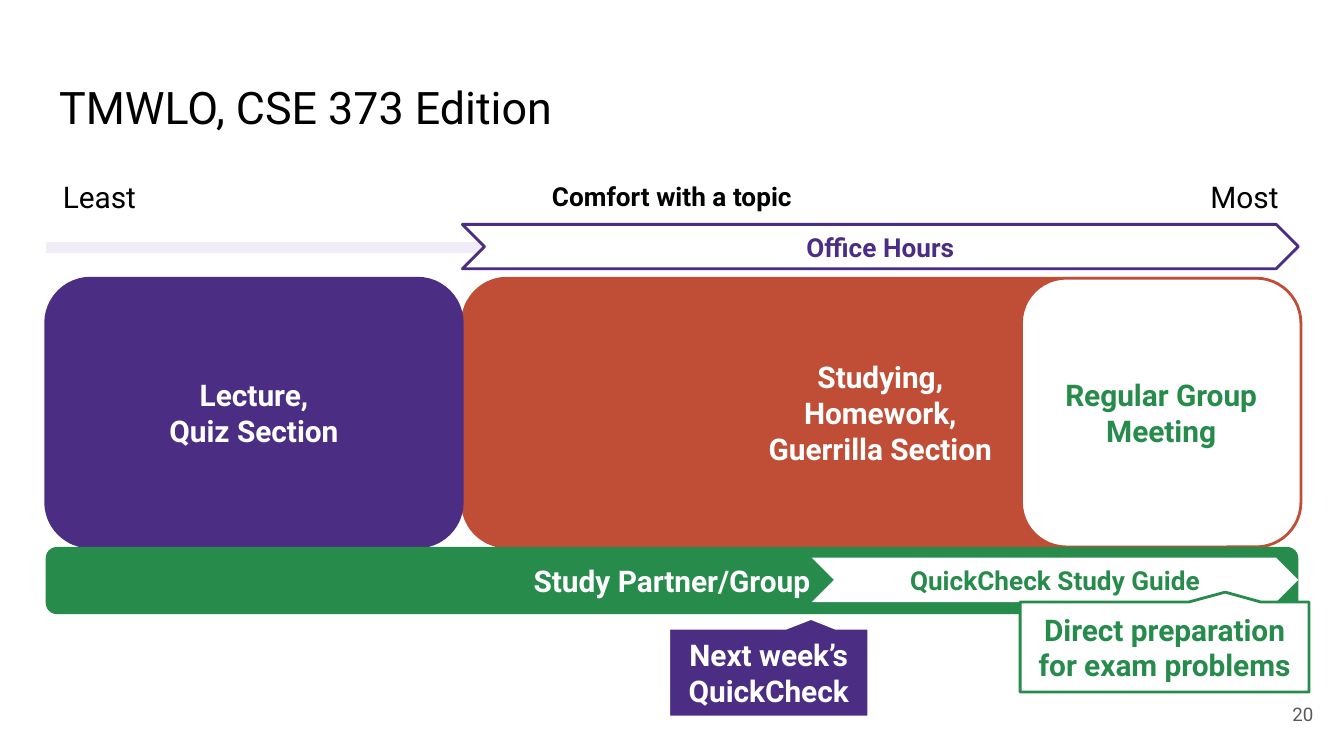
from lxml import etree
from pptx import Presentation
from pptx.dml.color import RGBColor
from pptx.enum import shapes, text
from pptx.oxml import ns
from pptx.util import Inches, Pt

FONT = "Roboto"
WHITE, BLACK, GRAY = "FFFFFF", "000000", "595959"
PURPLE, LAVENDER = "4B2E83", "F0ECF8"
ORANGE, GREEN = "C04E36", "278B4C"

SLIDE_W = 10
LEFT, RIGHT, SPLIT = 0.34, 9.66, 3.44
BLOCK_TOP, BLOCK_H = 2.07, 2
ARROW_H = 0.33

MSO = shapes.MSO_SHAPE
ALIGN = text.PP_ALIGN
ANCHOR = text.MSO_ANCHOR


def rgb(value):
    return RGBColor.from_string(value)


def write(sp, content, size, color, bold=False, align=ALIGN.CENTER,
          anchor=ANCHOR.MIDDLE, inset=0.1):
    tf = sp.text_frame
    tf.text = content
    tf.word_wrap = True
    tf.auto_size = text.MSO_AUTO_SIZE.NONE
    tf.vertical_anchor = anchor
    tf.margin_left = tf.margin_right = Inches(inset)
    tf.margin_top = tf.margin_bottom = Inches(inset)
    for p in tf.paragraphs:
        p.alignment = align
        for r in p.runs:
            r.font.name = FONT
            r.font.size = Pt(size)
            r.font.bold = bold
            r.font.color.rgb = rgb(color)


def add_title(s, content):
    sp = s.shapes.title
    sp.left, sp.top = Inches(LEFT), Inches(0.49)
    sp.width, sp.height = Inches(RIGHT - LEFT), Inches(0.63)
    write(sp, content, 24, BLACK, align=ALIGN.LEFT, anchor=ANCHOR.TOP)


def add_label(s, box, content, size, color, **style):
    sp = s.shapes.add_textbox(*map(Inches, box))
    write(sp, content, size, color, **style)


def add_box(s, kind, box, adjustments, fill=None, line=None, width=1.5):
    sp = s.shapes.add_shape(kind, *map(Inches, box))
    sp.shadow.inherit = False
    for i, value in enumerate(adjustments):
        sp.adjustments[i] = value
    if fill:
        sp.fill.solid()
        sp.fill.fore_color.rgb = rgb(fill)
    else:
        sp.fill.background()
    if line:
        sp.line.color.rgb = rgb(line)
        sp.line.width = Pt(width)
    else:
        sp.line.fill.background()
    return sp


def add_block(s, box, content, color, fill, line=None):
    sp = add_box(s, MSO.ROUNDED_RECTANGLE, box, [0.167], fill, line)
    write(sp, content, 16, color, bold=True, inset=0)


def add_chevron(s, left, top, content, color, line=None):
    box = (left, top, RIGHT - left, ARROW_H)
    sp = add_box(s, MSO.CHEVRON, box, [0.5], WHITE, line)
    write(sp, content, 14, color, bold=True)


def add_callout(s, box, content, color, pointer, fill=None, line=None,
                width=1.5, bold=True):
    sp = add_box(s, MSO.ROUNDED_RECTANGULAR_CALLOUT, box, [*pointer, 0],
                 fill, line, width)
    write(sp, content, 16, color, bold=bold)


def add_scale_line(s, y):
    c = s.shapes.add_connector(shapes.MSO_CONNECTOR.STRAIGHT, Inches(LEFT),
                               Inches(y), Inches(RIGHT), Inches(y))
    c.line.color.rgb = rgb(LAVENDER)
    c.line.width = Pt(6)
    etree.SubElement(c._element.spPr, ns.qn("a:effectLst"))


def main():
    prs = Presentation()
    prs.slide_width = Inches(SLIDE_W)
    prs.slide_height = Inches(SLIDE_W * 9 / 16)
    s = prs.slides.add_slide(prs.slide_layouts[5])
    add_title(s, "TMWLO, CSE 373 Edition")

    add_block(s, (SPLIT, BLOCK_TOP, RIGHT - SPLIT, BLOCK_H),
              "Studying,\vHomework,\vGuerrilla Section", WHITE, ORANGE, ORANGE)
    add_block(s, (LEFT, BLOCK_TOP, SPLIT - LEFT, BLOCK_H),
              "Lecture,\vQuiz Section", WHITE, PURPLE, PURPLE)

    add_scale_line(s, 1.84)
    add_chevron(s, SPLIT, 1.67, "Office Hours", PURPLE, PURPLE)
    for left, word, tip in ((LEFT, "Least", -0.21), (RIGHT - 0.8, "Most", 0.21)):
        add_callout(s, (left, 1.24, 0.8, 0.44), word, BLACK, (tip, 0.62),
                    bold=False)
    add_callout(s, (4.97, 4.67, 1.5, 0.67), "Next week’s QuickCheck", WHITE,
                (0.21, -0.61), PURPLE, WHITE, 2.25)
    add_label(s, (3.5, 1.23, 3, 0.46), "Comfort with a topic", 14, BLACK,
              bold=True)

    add_block(s, (7.6, BLOCK_TOP, 2.08, BLOCK_H), "Regular Group Meeting",
              GREEN, WHITE, ORANGE)
    add_block(s, (LEFT, BLOCK_TOP + BLOCK_H, RIGHT - LEFT, 0.5),
              "Study Partner/Group", WHITE, GREEN)
    add_chevron(s, 6.04, 4.15, "QuickCheck Study Guide", GREEN)
    add_callout(s, (7.59, 4.48, 2.15, 0.67),
                "Direct preparation for exam problems", GREEN,
                (0.21, -0.61), WHITE, GREEN)
    add_label(s, (9.27, 5.1, 0.6, 0.43), "20", 10, GRAY, align=ALIGN.RIGHT)

    prs.save("out.pptx")


if __name__ == "__main__":
    main()
